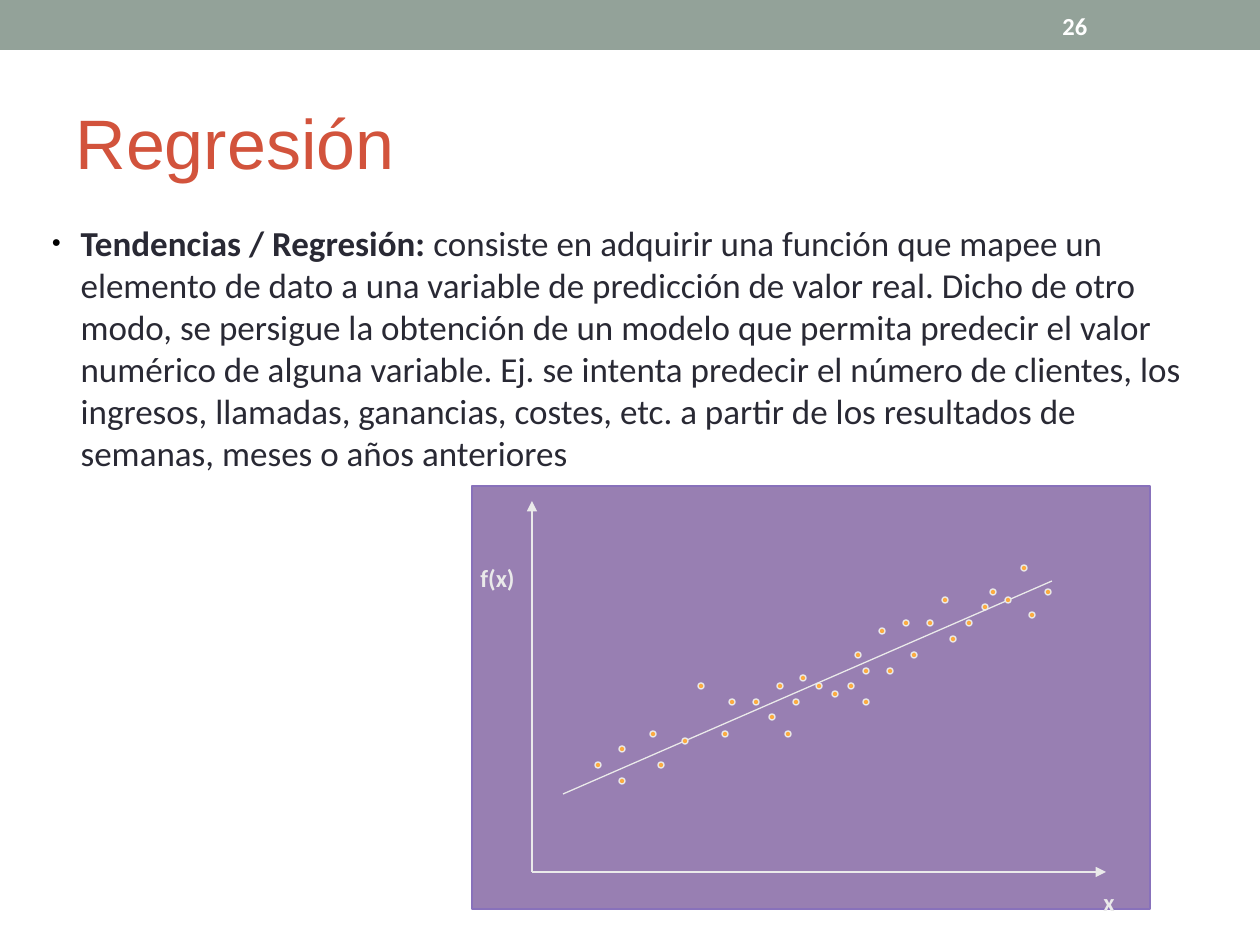
from dataclasses import dataclass
from typing import NamedTuple

from lxml import etree
from pptx import Presentation
from pptx.dml.color import RGBColor
from pptx.enum.shapes import MSO_CONNECTOR, MSO_SHAPE
from pptx.enum.text import MSO_ANCHOR, MSO_AUTO_SIZE, PP_ALIGN
from pptx.oxml.ns import qn
from pptx.util import Pt

RECTANGLE, OVAL = MSO_SHAPE.RECTANGLE, MSO_SHAPE.OVAL
STRAIGHT = MSO_CONNECTOR.STRAIGHT
LEFT = PP_ALIGN.LEFT
TOP, MIDDLE = MSO_ANCHOR.TOP, MSO_ANCHOR.MIDDLE
NO_AUTOFIT, FIT_SHAPE = MSO_AUTO_SIZE.NONE, MSO_AUTO_SIZE.SHAPE_TO_FIT_TEXT

EMU_PER_PX = 914400 / 126
DOT_SIZE = 6


@dataclass(frozen=True)
class Theme:
    header: str = "93A299"
    title: str = "D2533C"
    body: str = "292934"
    bullet: str = "000000"
    white: str = "FFFFFF"
    panel: str = "330066"
    panel_line: str = "8871BB"
    light: str = "EAEAEA"
    dot: str = "FCAB40"
    title_font: str = "Arial"
    body_font: str = "Calibri"
    title_size: int = 40
    body_size: int = 20
    label_size: int = 14
    line_width: float = 0.75


class Box(NamedTuple):
    left: int
    top: int
    width: int
    height: int


class Point(NamedTuple):
    x: int
    y: int


class Segment(NamedTuple):
    start: Point
    end: Point
    arrow: bool


class Label(NamedTuple):
    text: str
    box: Box


THEME = Theme()
ORIGIN = Point(532, 872)
SEGMENTS = [
    Segment(ORIGIN, Point(1106, 872), True),
    Segment(ORIGIN, Point(532, 501), True),
    Segment(Point(563, 794), Point(1052, 581), False),
]
OBSERVATIONS = [Point(*pair) for pair in (
    (598, 765), (622, 749), (622, 781), (653, 734), (661, 765), (701, 686),
    (685, 741), (732, 702), (725, 734), (756, 702), (772, 717), (780, 686),
    (796, 702), (803, 678), (819, 686), (835, 694), (851, 686), (788, 734),
    (858, 655), (866, 671), (882, 631), (890, 671), (906, 623), (914, 655),
    (953, 639), (945, 600), (930, 623), (969, 623), (993, 592), (985, 607),
    (866, 702), (1008, 600), (1024, 568), (1032, 615), (1048, 592),
)]
AXIS_LABELS = [Label("x", Box(1091, 881, 37, 43)), Label("f(x)", Box(468, 557, 64, 43))]
BODY_TERM = "Tendencias / Regresión:"
BODY_TEXT = (
    " consiste en adquirir una función que mapee un elemento de dato a una variable "
    "de predicción de valor real. Dicho de otro modo, se persigue la obtención de un "
    "modelo que permita predecir el valor numérico de alguna variable. Ej. se intenta "
    "predecir el número de clientes, los ingresos, llamadas, ganancias, costes, etc. "
    "a partir de los resultados de semanas, meses o años anteriores"
)


def px(value: float) -> int:
    return round(value * EMU_PER_PX)


def place(shape, box: Box) -> None:
    shape.left, shape.top, shape.width, shape.height = map(px, box)


def format_run(run, font: str, size: int, color: str, bold: bool = False) -> None:
    run.font.name = font
    run.font.size = Pt(size)
    run.font.bold = bold
    run.font.color.rgb = RGBColor.from_string(color)


def format_line(line, color: str) -> None:
    line.color.rgb = RGBColor.from_string(color)
    line.width = Pt(THEME.line_width)


def add_filled_shape(shapes, kind, box: Box, fill: str, line: str | None = None):
    shape = shapes.add_shape(kind, *map(px, box))
    shape.shadow.inherit = False
    shape.fill.solid()
    shape.fill.fore_color.rgb = RGBColor.from_string(fill)
    if line:
        format_line(shape.line, line)
    else:
        shape.line.fill.background()
    return shape


def add_segment(shapes, segment: Segment) -> None:
    connector = shapes.add_connector(STRAIGHT, *map(px, segment.start + segment.end))
    format_line(connector.line, THEME.light)
    properties = connector._element.spPr
    if segment.arrow:
        etree.SubElement(properties.find(qn("a:ln")), qn("a:tailEnd"), type="triangle")
    etree.SubElement(properties, qn("a:effectLst"))


def add_label(shapes, label: Label, color: str, anchor=TOP, wrap: bool = False) -> None:
    text_box = shapes.add_textbox(*map(px, label.box))
    frame = text_box.text_frame
    frame.word_wrap = wrap
    frame.auto_size = NO_AUTOFIT if wrap else FIT_SHAPE
    frame.vertical_anchor = anchor
    frame.text = label.text
    format_run(frame.paragraphs[0].runs[0], THEME.body_font, THEME.label_size, color, True)


def fill_title(title) -> None:
    place(title, Box(63, 73, 1134, 136))
    frame = title.text_frame
    frame.text = "Regresión"
    frame.vertical_anchor = MIDDLE
    frame.auto_size = NO_AUTOFIT
    paragraph = frame.paragraphs[0]
    paragraph.alignment = LEFT
    format_run(paragraph.runs[0], THEME.title_font, THEME.title_size, THEME.title)


def set_bullet(paragraph, indent: int) -> None:
    properties = paragraph._p.get_or_add_pPr()
    properties.set("marL", str(px(indent)))
    properties.set("indent", str(-px(indent)))
    color = etree.SubElement(properties, qn("a:buClr"))
    etree.SubElement(color, qn("a:srgbClr"), val=THEME.bullet)
    etree.SubElement(properties, qn("a:buSzPct"), val="45000")
    etree.SubElement(properties, qn("a:buChar"), char="●")


def fill_body(body) -> None:
    place(body, Box(39, 215, 1186, 751))
    frame = body.text_frame
    frame.auto_size = NO_AUTOFIT
    paragraph = frame.paragraphs[0]
    paragraph.space_before = Pt(0)
    set_bullet(paragraph, 29)
    for text, bold in ((BODY_TERM, True), (BODY_TEXT, False)):
        run = paragraph.add_run()
        run.text = text
        format_run(run, THEME.body_font, THEME.body_size, THEME.body, bold)


def add_scatter_diagram(slide) -> None:
    shapes = slide.shapes.add_group_shape().shapes
    panel = add_filled_shape(
        shapes, RECTANGLE, Box(472, 486, 678, 423), THEME.panel, THEME.panel_line)
    panel_color = panel._element.spPr.find(qn("a:solidFill")).find(qn("a:srgbClr"))
    etree.SubElement(panel_color, qn("a:alpha"), val="50000")
    for segment in SEGMENTS:
        add_segment(shapes, segment)
    radius = DOT_SIZE // 2
    for point in OBSERVATIONS:
        box = Box(point.x - radius, point.y - radius, DOT_SIZE, DOT_SIZE)
        add_filled_shape(shapes, OVAL, box, THEME.dot, THEME.light)
    for label in AXIS_LABELS:
        add_label(shapes, label, THEME.light)


def main() -> None:
    presentation = Presentation()
    presentation.slide_width, presentation.slide_height = px(1260), px(945)
    slide = presentation.slides.add_slide(presentation.slide_layouts[1])
    add_filled_shape(slide.shapes, RECTANGLE, Box(0, 0, 1260, 50), THEME.header)
    fill_title(slide.shapes.title)
    fill_body(slide.placeholders[1])
    add_label(slide.shapes, Label("26", Box(1050, 3, 147, 45)), THEME.white, MIDDLE, True)
    add_scatter_diagram(slide)
    presentation.save("out.pptx")


if __name__ == "__main__":
    main()
